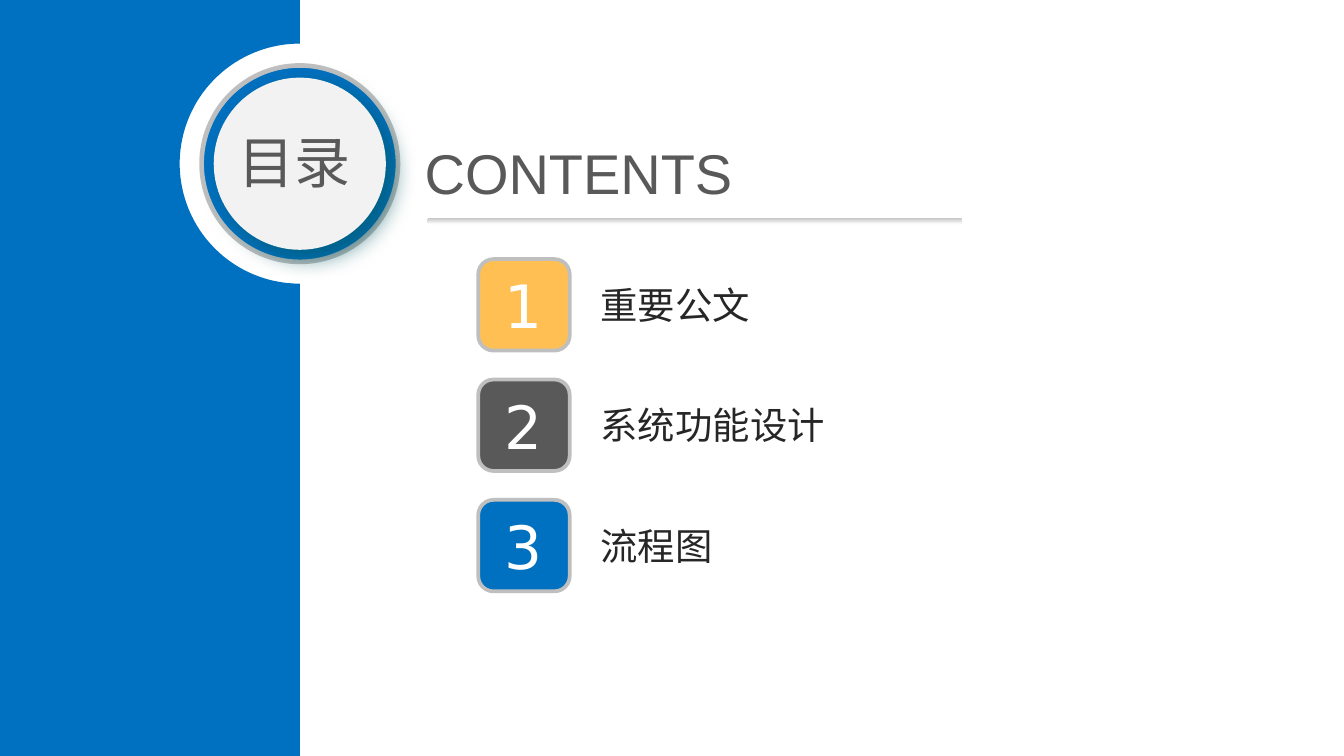
from math import cos, radians, sin

from lxml import etree
from pptx import Presentation
from pptx.dml.color import RGBColor
from pptx.enum.shapes import MSO_SHAPE
from pptx.enum.text import MSO_ANCHOR, MSO_AUTO_SIZE, PP_ALIGN
from pptx.oxml.ns import qn
from pptx.util import Pt

OVAL = MSO_SHAPE.OVAL
ROUNDED = MSO_SHAPE.ROUNDED_RECTANGLE
LEFT, CENTER = PP_ALIGN.LEFT, PP_ALIGN.CENTER
MIDDLE, TOP = MSO_ANCHOR.MIDDLE, MSO_ANCHOR.TOP
GROW, FIXED = MSO_AUTO_SIZE.SHAPE_TO_FIT_TEXT, MSO_AUTO_SIZE.NONE

TITLE = "目录"
SUBTITLE = "CONTENTS"
ITEMS = [
    ("1", "重要公文", "amber", 95),
    ("2", "系统功能设计", "grey", 135.4),
    ("3", "流程图", "blue", 74.9),
]

THEME = {
    "blue": "0070C0",
    "amber": "FFBF53",
    "grey": "595959",
    "silver": "BFBFBF",
    "pale": "F2F2F2",
    "white": "FFFFFF",
    "ink": "262626",
    "shadow": "005962",
    "title": ("Quicksand", 30, "grey"),
    "subtitle": ("Arial", 30, "grey"),
    "number": ("DejaVu Sans", 32, "white"),
    "label": ("Noto Sans CJK SC", 20, "ink"),
}

WIDTH, HEIGHT = 720, 405
HUB_X, HUB_Y = 160.6, 87.7
NOTCH_RADIUS, RING_RADIUS, DISC_RADIUS = 64.3, 52.6, 46.1
PANEL_LEFT = -7.2
BADGE_LEFT, BADGE_TOP, BADGE_SIZE = 256.2, 138.8, 49
ROW_PITCH = 64.5
LABEL_LEFT, LABEL_OFFSET, LABEL_HEIGHT = 314.6, 8.7, 31.5


def color(name):
    return RGBColor.from_string(THEME[name])


def paint(shape, fill, line=None, line_width=0):
    shape.shadow.inherit = False
    shape.fill.solid()
    shape.fill.fore_color.rgb = color(fill)
    if line:
        shape.line.color.rgb = color(line)
        shape.line.width = Pt(line_width)
    else:
        shape.line.fill.background()


def add_shape(slide, kind, box, fill, line=None, line_width=0):
    shape = slide.shapes.add_shape(kind, *map(Pt, box))
    paint(shape, fill, line, line_width)
    return shape


def write(shape, text, style, align=LEFT, **frame_format):
    frame = shape.text_frame
    for name, value in frame_format.items():
        setattr(frame, name, value)
    paragraph = frame.paragraphs[0]
    paragraph.alignment = align
    run = paragraph.add_run()
    run.text = text
    family, size, ink = THEME[style]
    for name, value in {"name": family, "size": Pt(size)}.items():
        setattr(run.font, name, value)
    run.font.color.rgb = color(ink)
    east_asian = etree.SubElement(run.font._element, qn("a:ea"))
    east_asian.set("typeface", family)


def add_text(slide, box, text, style, align=LEFT, wrap=True, inset=(7.2, 3.6)):
    side, edge = map(Pt, inset)
    write(slide.shapes.add_textbox(*map(Pt, box)), text, style, align,
          word_wrap=wrap, auto_size=GROW, vertical_anchor=TOP,
          margin_left=side, margin_right=side, margin_top=edge, margin_bottom=edge)


def add_panel(slide):
    arc = [(HUB_X - NOTCH_RADIUS * sin(radians(angle)),
            HUB_Y - NOTCH_RADIUS * cos(radians(angle))) for angle in range(0, 181, 2)]
    outline = [(HUB_X, 0), *arc, (HUB_X, HEIGHT), (PANEL_LEFT, HEIGHT)]
    builder = slide.shapes.build_freeform(Pt(PANEL_LEFT), 0)
    builder.add_line_segments([(Pt(x), Pt(y)) for x, y in outline])
    paint(builder.convert_to_shape(), "blue")


def add_circle(slide, radius, *style):
    box = (HUB_X - radius, HUB_Y - radius, 2 * radius, 2 * radius)
    return add_shape(slide, OVAL, box, *style)


def add_shadow(shape, blur, distance, angle, opacity):
    effects = shape._element.spPr.find(qn("a:effectLst"))
    shadow = etree.SubElement(effects, qn("a:outerShdw"), {
        "blurRad": str(Pt(blur)), "dist": str(Pt(distance)),
        "dir": str(angle * 60000), "algn": "tl", "rotWithShape": "0"})
    tint = etree.SubElement(shadow, qn("a:srgbClr"), val=THEME["shadow"])
    etree.SubElement(tint, qn("a:alpha"), val=str(opacity * 1000))


def add_rule(slide):
    rule = add_shape(slide, ROUNDED, (229, 116.6, 286.6, 3.6), "silver")
    rule.adjustments[0] = 0.5
    rule.fill.gradient()
    rule.fill.gradient_angle = 270
    for stop, name, position in zip(rule.fill.gradient_stops, ("silver", "white"), (0, 1)):
        stop.color.rgb = color(name)
        stop.position = position


def add_item(slide, row, number, label, fill, label_width):
    top = BADGE_TOP + row * ROW_PITCH
    add_text(slide, (LABEL_LEFT, top + LABEL_OFFSET, label_width, LABEL_HEIGHT),
             label, "label", wrap=False)
    badge = add_shape(slide, ROUNDED, (BADGE_LEFT, top, BADGE_SIZE, BADGE_SIZE),
                      fill, "silver", 2)
    write(badge, number, "number", CENTER, word_wrap=True,
          auto_size=FIXED, vertical_anchor=MIDDLE)


def main():
    presentation = Presentation()
    presentation.slide_width, presentation.slide_height = Pt(WIDTH), Pt(HEIGHT)
    slide = presentation.slides.add_slide(presentation.slide_layouts[6])
    add_panel(slide)
    add_circle(slide, RING_RADIUS, "blue", "silver", 2.5)
    add_shadow(add_circle(slide, DISC_RADIUS, "pale"), 12, 6, 45, 64)
    heading_inset = (5, 2.9)
    add_text(slide, (222.5, 71.3, 250.6, 41.8), SUBTITLE, "subtitle", inset=heading_inset)
    add_text(slide, (108, 65.5, 100, 41.8), TITLE, "title", CENTER, inset=heading_inset)
    add_rule(slide)
    for row, item in enumerate(ITEMS):
        add_item(slide, row, *item)
    presentation.save("out.pptx")


if __name__ == "__main__":
    main()
